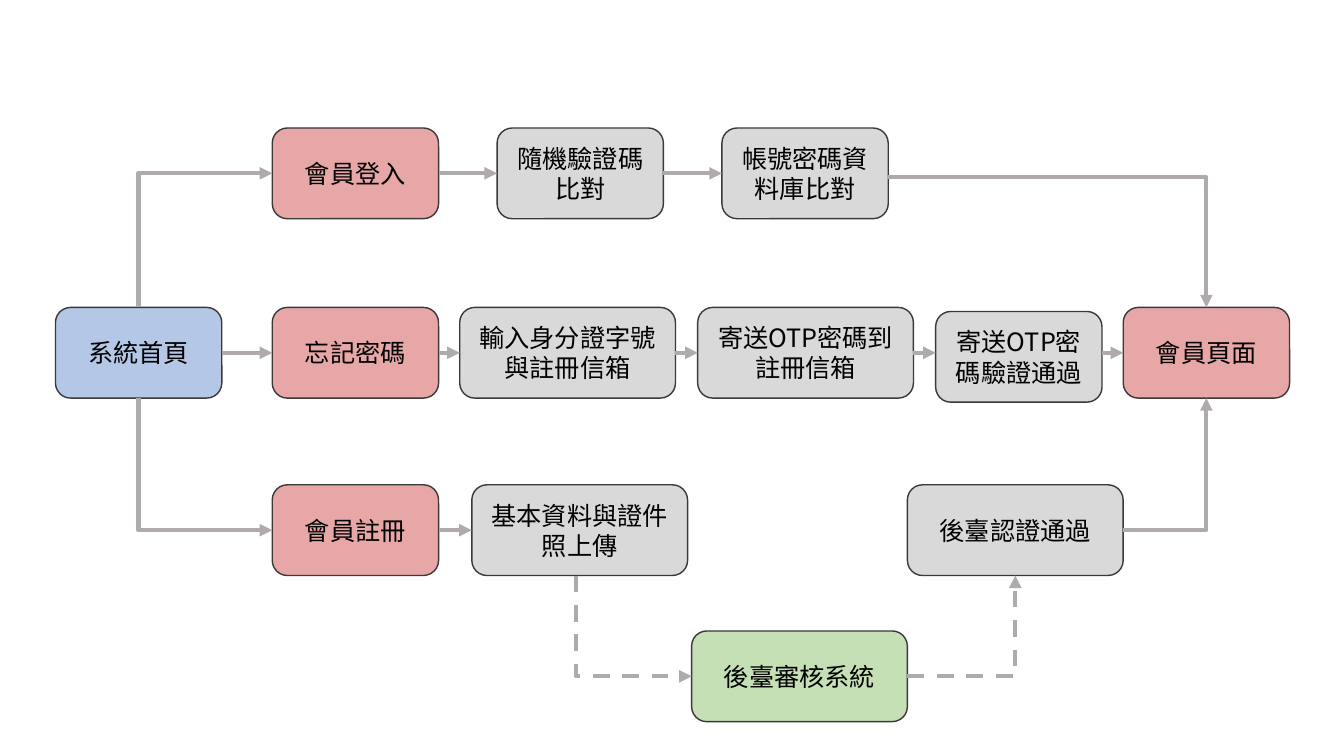
from pptx import Presentation
from pptx.dml.color import RGBColor
from pptx.enum.dml import MSO_LINE_DASH_STYLE as DASH
from pptx.enum.shapes import MSO_CONNECTOR as LINK, MSO_SHAPE as SHAPE
from pptx.enum.text import MSO_ANCHOR as ANCHOR, PP_ALIGN as ALIGN
from pptx.oxml.ns import qn
from pptx.util import Inches, Pt
from lxml.etree import SubElement

TOP, LEFT, BOTTOM, RIGHT = range(4)
SIDE_FRACTIONS = {TOP: (0.5, 0), LEFT: (0, 0.5), BOTTOM: (0.5, 1), RIGHT: (1, 0.5)}
BLUE, RED, GREY, GREEN = "B4C7E7", "E7A7A7", "D9D9D9", "C5E0B4"
NARROW, WIDE, HEIGHT = 1.65, 2.14, 0.9
LOGIN_ROW, RESET_ROW, SIGNUP_ROW, REVIEW_ROW = 1.27, 3.05, 4.81, 6.26


def color(value):
    return RGBColor.from_string(value)


class FlowPage:
    font_name = "Noto Sans CJK SC"
    outline = "3B3838"
    arrow_color = "AFABAB"

    def __init__(self, deck):
        self.shapes = deck.slides.add_slide(deck.slide_layouts[6]).shapes

    def step(self, text, left, top, fill, width=NARROW):
        box = self.shapes.add_shape(SHAPE.ROUNDED_RECTANGLE, Inches(left), Inches(top),
                                    Inches(width), Inches(HEIGHT))
        box.shadow.inherit = False
        box.fill.solid()
        box.fill.fore_color.rgb = color(fill)
        box.line.color.rgb = color(self.outline)
        box.line.width = Pt(1)
        frame = box.text_frame
        frame.word_wrap = True
        frame.vertical_anchor = ANCHOR.MIDDLE
        for index, line in enumerate(text.split("\n")):
            para = frame.add_paragraph() if index else frame.paragraphs[0]
            para.alignment = ALIGN.CENTER
            span = para.add_run()
            span.text = line
            for name, value in {"size": Pt(18), "name": self.font_name}.items():
                setattr(span.font, name, value)
            span.font.color.rgb = color("000000")
            SubElement(span.font._element, qn("a:ea"), typeface=self.font_name)
        return box

    @staticmethod
    def locate(end):
        """Turn a (box, side) pair or an (x, y) point in inches into a position."""
        place, side = end
        if isinstance(place, (int, float)):
            return Inches(place), Inches(side)
        across, down = SIDE_FRACTIONS[side]
        return place.left + int(place.width * across), place.top + int(place.height * down)

    def arrow(self, start, finish, kind=LINK.STRAIGHT, dashed=False):
        link = self.shapes.add_connector(kind, *self.locate(start), *self.locate(finish))
        for end, connect in ((start, link.begin_connect), (finish, link.end_connect)):
            if not isinstance(end[0], (int, float)):
                connect(*end)
        link.line.color.rgb = color(self.arrow_color)
        link.line.width = Pt(3)
        if dashed:
            link.line.dash_style = DASH.DASH
        SubElement(link.line._get_or_add_ln(), qn("a:tailEnd"), type="triangle")
        SubElement(link._element.spPr, qn("a:effectLst"))
        return link

    def corner(self, start, finish, vertical_first=False, dashed=False):
        """Draw an arrow with one right-angled bend."""
        link = self.arrow(start, finish, LINK.ELBOW, dashed)
        properties = link._element.spPr
        properties.find(qn("a:prstGeom")).set("prst", "bentConnector2")
        if vertical_first:
            upward = link.end_y < link.begin_y
            shift = (link.width - link.height) // 2
            link.left, link.top = link.left + shift, link.top - shift
            link.width, link.height = link.height, link.width
            turn = {"rot": "5400000" if upward else "16200000",
                    "flipH": "1", "flipV": "1" if upward else "0"}
            for name, value in turn.items():
                properties.find(qn("a:xfrm")).set(name, value)


def main():
    deck = Presentation()
    deck.slide_width, deck.slide_height = Inches(13.33), Inches(7.5)
    page = FlowPage(deck)

    home = page.step("系統首頁", 0.55, RESET_ROW, BLUE)
    login = page.step("會員登入", 2.7, LOGIN_ROW, RED)
    forgot = page.step("忘記密碼", 2.7, RESET_ROW, RED)
    signup = page.step("會員註冊", 2.7, SIGNUP_ROW, RED)
    member = page.step("會員頁面", 11.14, RESET_ROW, RED)
    captcha = page.step("隨機驗證碼比對", 4.93, LOGIN_ROW, GREY)
    account = page.step("帳號密碼資料庫比對", 7.16, LOGIN_ROW, GREY)
    identity = page.step("輸入身分證字號與註冊信箱", 4.56, RESET_ROW, GREY, WIDE)
    send_otp = page.step("寄送OTP密碼到\n註冊信箱", 6.92, RESET_ROW, GREY, WIDE)
    page.step("寄送OTP密碼驗證通過", 9.28, 3.09, GREY)
    upload = page.step("基本資料與證件照上傳", 4.68, SIGNUP_ROW, GREY, WIDE)
    approved = page.step("後臺認證通過", 9, SIGNUP_ROW, GREY, WIDE)
    review = page.step("後臺審核系統", 6.86, REVIEW_ROW, GREEN, WIDE)

    for chain in ((login, captcha, account), (home, forgot, identity, send_otp),
                  (signup, upload)):
        for source, target in zip(chain, chain[1:]):
            page.arrow((source, RIGHT), (target, LEFT))
    page.arrow((send_otp, RIGHT), (9.28, 3.5))
    page.arrow((10.93, 3.5), (member, LEFT))

    page.corner((home, TOP), (login, LEFT), vertical_first=True)
    page.corner((home, BOTTOM), (signup, LEFT), vertical_first=True)
    page.corner((8.8, 1.76), (member, TOP))
    page.corner((approved, RIGHT), (member, BOTTOM))
    page.corner((5.71, 5.71), (review, LEFT), vertical_first=True, dashed=True)
    page.corner((review, RIGHT), (approved, BOTTOM), dashed=True)

    deck.save("out.pptx")


if __name__ == "__main__":
    main()
